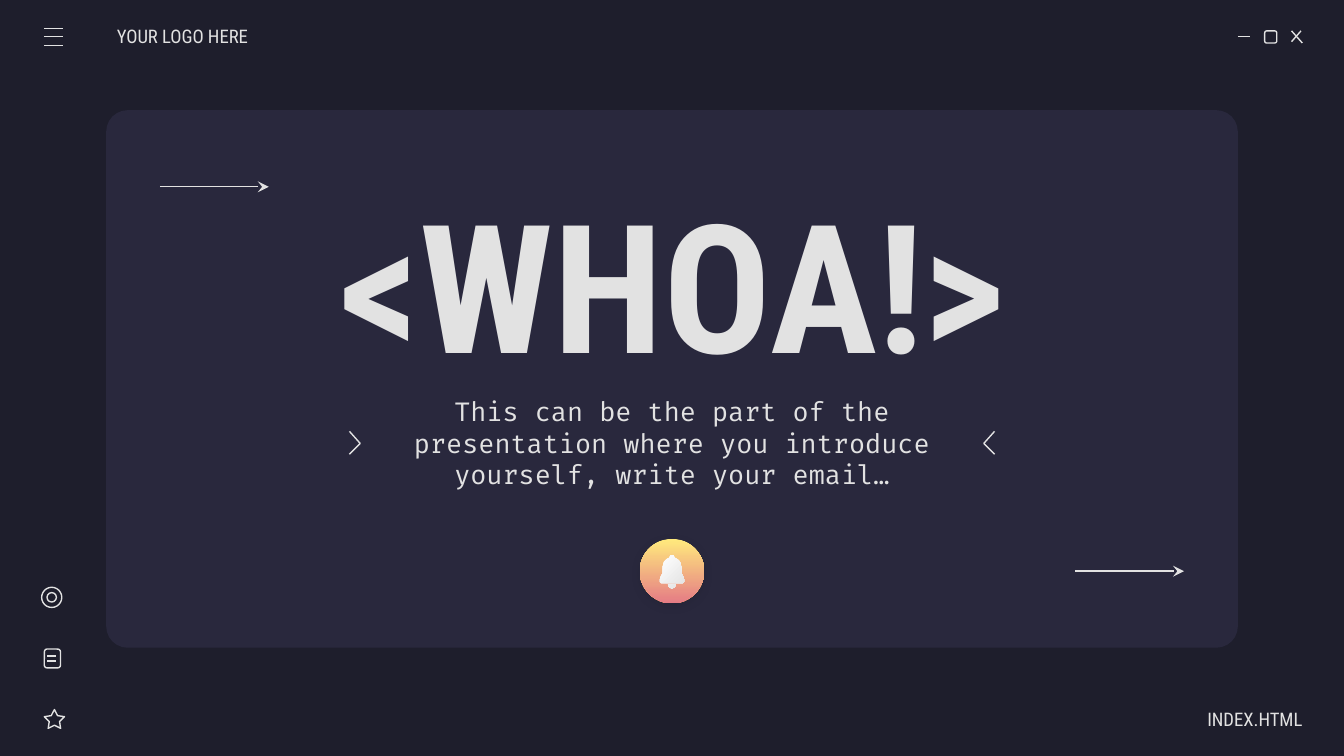
from lxml import etree
from pptx import Presentation, util as u
from pptx.dml.color import RGBColor
from pptx.enum import shapes, text
from pptx.oxml import parse_xml
from pptx.oxml.ns import nsdecls, qn

COLORS = {
    "night": "1E1E2C",
    "panel": "29283D",
    "light": "E2E2E2",
    "white": "FFFFFF",
    "yellow": "FFEA7D",
    "pink": "E57C85",
}
RGB = {name: RGBColor.from_string(value) for name, value in COLORS.items()}
SHAPE = shapes.MSO_SHAPE


def write(box, content, place, font="Roboto Condensed", size=10, bold=False,
          align="CENTER", left=0.1, right=0.1):
    box.left, box.top, box.width, box.height = map(u.Inches, place)
    frame = box.text_frame
    frame.word_wrap = True
    frame.auto_size = text.MSO_AUTO_SIZE.NONE
    frame.vertical_anchor = text.MSO_ANCHOR.MIDDLE
    frame.margin_left, frame.margin_right = u.Inches(left), u.Inches(right)
    frame.margin_top = frame.margin_bottom = u.Inches(0.1)
    paragraph = frame.paragraphs[0]
    paragraph.alignment = text.PP_ALIGN[align]
    paragraph.space_before = u.Pt(0)
    run = paragraph.add_run()
    run.text = content
    run.font.name, run.font.size, run.font.bold = font, u.Pt(size), bold
    run.font.color.rgb = RGB["light"]


def paint(shape, gradient=None, angle=0):
    shape.shadow.inherit = False
    if gradient:
        shape.fill.gradient()
        shape.fill.gradient_angle = angle
        for stop, name in zip(shape.fill.gradient_stops, gradient):
            stop.color.rgb = RGB[name]
        shape.line.fill.background()
    else:
        shape.fill.background()
        shape.line.color.rgb = RGB["light"]
        shape.line.width = u.Pt(0.75)


prs = Presentation()
prs.slide_width = u.Inches(10)
prs.slide_height = u.Inches(10 * 9 / 16)
slide = prs.slides.add_slide(prs.slide_layouts[0])
slide.background.fill.solid()
slide.background.fill.fore_color.rgb = RGB["night"]
parts = slide.shapes
title, intro = slide.placeholders

panel = parts.add_shape(SHAPE.ROUNDED_RECTANGLE, *map(u.Inches, (0.79, 0.82, 8.42, 4)))
panel.adjustments[0] = 0.04
panel.shadow.inherit = False
panel.fill.solid()
panel.fill.fore_color.rgb = RGB["panel"]
panel.line.fill.background()
parts._spTree.insert(2, panel._element)

write(title, "<WHOA!>", (1.97, 1.39, 6.07, 1.42), size=96, bold=True)
write(intro, "This can be the part of the presentation where you introduce yourself, "
      "write your email…", (2.68, 2.81, 4.64, 0.97), font="Fira Code", size=14)
write(parts.add_textbox(0, 0, 0, 0), "YOUR LOGO HERE", (0.87, 0.12, 1.17, 0.3),
      align="LEFT", left=0)
write(parts.add_textbox(0, 0, 0, 0), "INDEX.HTML", (8.52, 5.2, 1.17, 0.3),
      align="RIGHT", right=0)

for kind, place, corner in [
    (SHAPE.ROUNDED_RECTANGLE, (9.41, 0.23, 0.09, 0.09), 0.167),
    (SHAPE.OVAL, (0.31, 4.37, 0.15, 0.15), None),
    (SHAPE.OVAL, (0.35, 4.41, 0.07, 0.07), None),
    (SHAPE.ROUNDED_RECTANGLE, (0.33, 4.83, 0.12, 0.14), 0.167),
    (SHAPE.STAR_5_POINT, (0.33, 5.28, 0.15, 0.14), 0.254),
]:
    icon = parts.add_shape(kind, *map(u.Inches, place))
    if corner:
        icon.adjustments[0] = corner
    paint(icon)

menu = [(0.33, y, 0.47, y) for y in (0.21, 0.27, 0.34)]
page_lines = [(0.35, y, 0.42, y) for y in (4.88, 4.92)]
window = [(9.21, 0.27, 9.3, 0.27), (9.61, 0.23, 9.69, 0.32), (9.68, 0.23, 9.61, 0.31)]
arrows = [(1.19, 1.39, 2, 1.39), (8, 4.25, 8.81, 4.25)]
for ends in menu + page_lines + window + arrows:
    stroke = parts.add_connector(shapes.MSO_CONNECTOR.STRAIGHT, *map(u.Inches, ends))
    stroke.line.color.rgb = RGB["light"]
    stroke.line.width = u.Pt(0.75)
    if ends in arrows:
        etree.SubElement(stroke.line._get_or_add_ln(), qn("a:tailEnd"), type="stealth")
    etree.SubElement(stroke._element.spPr, qn("a:effectLst"))

for back, tip in [(2.6, 2.68), (7.4, 7.32)]:
    outline = parts.build_freeform(u.Inches(back), u.Inches(3.21))
    outline.add_line_segments(
        [(u.Inches(tip), u.Inches(3.3)), (u.Inches(back), u.Inches(3.38))], close=False)
    paint(outline.convert_to_shape())

button = parts.add_shape(SHAPE.OVAL, *map(u.Inches, (4.76, 4.01, 0.48, 0.48)))
paint(button, ("yellow", "pink"), 270)
button._element.spPr.find(qn("a:effectLst")).append(parse_xml(
    f'<a:outerShdw {nsdecls("a")} blurRad="57150" dist="19050" dir="5400000">'
    f'<a:srgbClr val="{COLORS["night"]}"><a:alpha val="30000"/></a:srgbClr></a:outerShdw>'))

dome = [(0, 4.13), (0.01, 4.13), (0.02, 4.15), (0.04, 4.16), (0.06, 4.18), (0.07, 4.22),
        (0.07, 4.27), (0.08, 4.28), (0.09, 4.31), (0.09, 4.33), (0.08, 4.34)]
clapper = [(0, 4.38), (0.02, 4.37), (0.03, 4.35)]
bell = None
for half in (dome, clapper):
    around = half + [(-x, y) for x, y in reversed(half)]
    points = [(u.Inches(5 + x), u.Inches(y)) for x, y in around]
    if bell is None:
        bell = parts.build_freeform(*points[0])
    else:
        bell.move_to(*points[0])
    bell.add_line_segments(points[1:])
paint(bell.convert_to_shape(), ("white", "light"), 315)

prs.save("out.pptx")
